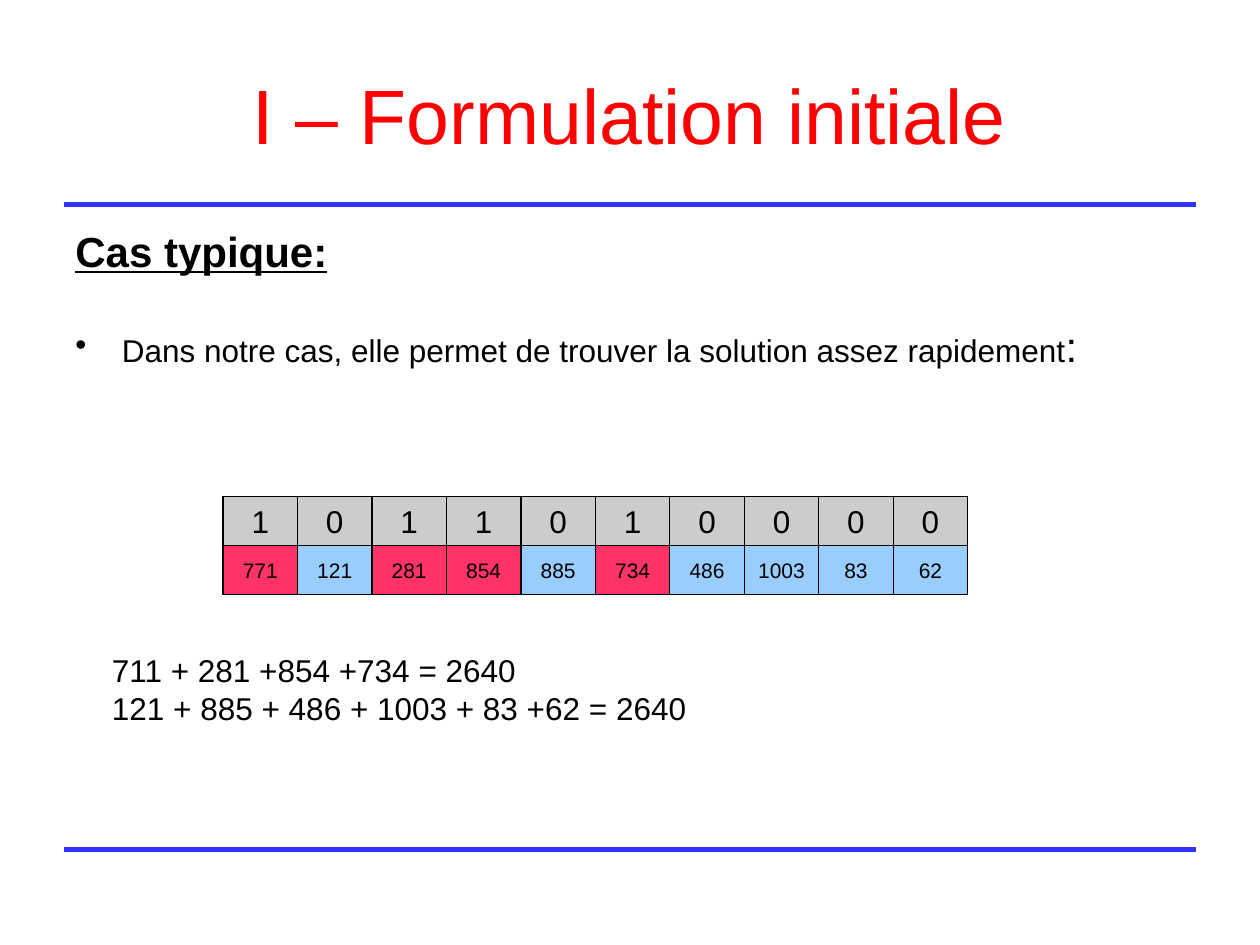
from lxml import etree
from pptx import Presentation
from pptx import util as u
from pptx.dml.color import RGBColor
from pptx.enum import shapes, text
from pptx.oxml import ns

Inches, Pt = u.Inches, u.Pt


def colour(code):
    return RGBColor.from_string(code)


def write(paragraph, content, size=18, color="000000", bold=False,
          underline=False, align=text.PP_ALIGN.LEFT):
    paragraph.alignment = align
    run = paragraph.add_run()
    run.text = content
    run.font.name = "Arial"
    run.font.size = Pt(size)
    run.font.bold = bold
    run.font.underline = underline
    run.font.color.rgb = colour(color)


deck = Presentation()
deck.slide_width, deck.slide_height = Inches(10), Inches(7.5)
slide = deck.slides.add_slide(deck.slide_layouts[6])

# Blue rules above and below the content
for y in (6.74, 1.625):
    rule = slide.shapes.add_connector(
        shapes.MSO_CONNECTOR.STRAIGHT,
        Inches(0.51), Inches(y), Inches(9.49), Inches(y))
    rule.line.color.rgb = colour("3333FF")
    rule.line.width = Pt(3)
    etree.SubElement(rule._element.spPr, ns.qn("a:effectLst"))

# Text areas
frames = []
for left, top, width, height, inset in (
        (0.5, 0.3, 9, 1.25, 0.09),
        (0.5, 1.75, 9, 1.6, 0.13),
        (0.79, 5.12, 8.47, 0.9, 0.05)):
    frame = slide.shapes.add_textbox(
        Inches(left), Inches(top), Inches(width), Inches(height)).text_frame
    frame.word_wrap = True
    frame.margin_top = Inches(inset)
    frames.append(frame)
title, body, sums = frames

# Title
title.vertical_anchor = text.MSO_ANCHOR.MIDDLE
title.paragraphs[0].line_spacing = 0.93
write(title.paragraphs[0], "I – Formulation initiale", size=44,
      color="FF0000", align=text.PP_ALIGN.CENTER)

# Heading and bulleted statement
heading = body.paragraphs[0]
heading.line_spacing = 0.75
write(heading, "Cas typique:", size=24, bold=True, underline=True)

statement = body.add_paragraph()
statement.line_spacing = 0.75
statement.space_before = Pt(33)
write(statement,
      "Dans notre cas, elle permet de trouver la solution assez rapidement")
write(statement, ":", size=24)
bullet_format = statement._p.get_or_add_pPr()
bullet_format.set("marL", str(Inches(0.37)))
bullet_format.set("indent", str(-Inches(0.37)))
etree.SubElement(bullet_format, ns.qn("a:buFont"), typeface="Arial")
etree.SubElement(bullet_format, ns.qn("a:buChar"), char="•")

# Numbers with their selection bits: chosen ones are red
numbers = [771, 121, 281, 854, 885, 734, 486, 1003, 83, 62]
bits = [1, 0, 1, 1, 0, 1, 0, 0, 0, 0]
number_fills = ["FF3366" if bit else "99CCFF" for bit in bits]
bit_fills = ["CCCCCC"] * len(bits)
cell_width, cell_height = 5.91 / len(bits), 0.39

for top, values, fills, size in (
        (4.33, numbers, number_fills, 12),
        (3.94, bits, bit_fills, 18)):
    for column, (value, fill) in enumerate(zip(values, fills)):
        cell = slide.shapes.add_shape(
            shapes.MSO_SHAPE.ROUNDED_RECTANGLE,
            Inches(1.77 + column * cell_width), Inches(top),
            Inches(cell_width), Inches(cell_height))
        cell.adjustments[0] = 0
        cell.shadow.inherit = False
        cell.fill.solid()
        cell.fill.fore_color.rgb = colour(fill)
        cell.line.color.rgb = colour("000000")
        cell.line.width = Pt(0.75)
        cell.text_frame.word_wrap = False
        cell.text_frame.vertical_anchor = text.MSO_ANCHOR.MIDDLE
        write(cell.text_frame.paragraphs[0], str(value), size=size,
              align=text.PP_ALIGN.CENTER)

# Sums of both groups
write(sums.paragraphs[0], "711 + 281 +854 +734 = 2640")
write(sums.add_paragraph(), "121 + 885 + 486 + 1003 + 83 +62 = 2640")

deck.save("out.pptx")
